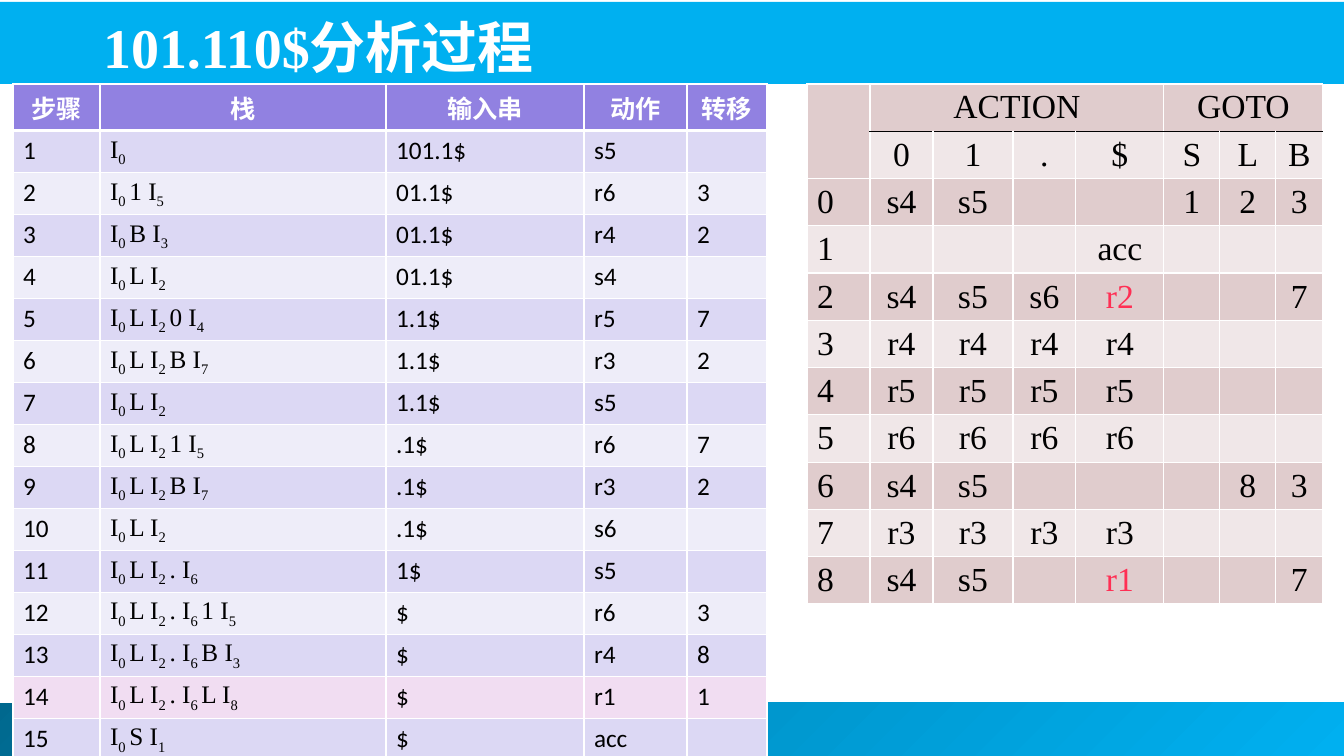
from copy import deepcopy
from dataclasses import dataclass

from pptx import Presentation
from pptx.dml.color import RGBColor
from pptx.enum.shapes import MSO_SHAPE
from pptx.enum.text import MSO_ANCHOR, PP_ALIGN
from pptx.oxml import parse_xml
from pptx.oxml.ns import nsdecls, qn
from pptx.util import Pt

SLIDE_WIDTH, SLIDE_HEIGHT = 1344, 756
EMU_PER_PX = 12192000 / SLIDE_WIDTH
LEFT, CENTER, RIGHT = PP_ALIGN.LEFT, PP_ALIGN.CENTER, PP_ALIGN.RIGHT


@dataclass(frozen=True)
class Theme:
    font: str = "Times New Roman"
    title_size: int = 40
    trace_size: int = 18
    parse_size: int = 24
    white: str = "FFFFFF"
    black: str = "000000"
    band: str = "00B0F0"
    footer: tuple = ((0, "00688E"), (0.5, "0094CA"), (1, "00B0F0"))
    trace_head: str = "9181E1"
    trace_rows: tuple = ("DCD8F4", "EEEDF9")
    trace_highlight: str = "F1DDF2"
    parse_rows: tuple = ("E0CCCD", "F0E7E8")
    accept: str = "FF0000"
    reduce: str = "FF2F54"


THEME = Theme()

TRACE_HEAD = ("步骤", "栈", "输入串", "动作", "转移")
TRACE_ALIGN = (LEFT, LEFT, RIGHT, CENTER, CENTER)
TRACE_WIDTHS = (87, 286, 198, 103, 80)
TRACE_STEPS = (
    ("I0", "101.1$", "s5", ""),
    ("I0 1 I5", "01.1$", "r6", "3"),
    ("I0 B I3", "01.1$", "r4", "2"),
    ("I0 L I2", "01.1$", "s4", ""),
    ("I0 L I2 0 I4", "1.1$", "r5", "7"),
    ("I0 L I2 B I7", "1.1$", "r3", "2"),
    ("I0 L I2", "1.1$", "s5", ""),
    ("I0 L I2 1 I5", ".1$", "r6", "7"),
    ("I0 L I2 B I7", ".1$", "r3", "2"),
    ("I0 L I2", ".1$", "s6", ""),
    ("I0 L I2 . I6", "1$", "s5", ""),
    ("I0 L I2 . I6 1 I5", "$", "r6", "3"),
    ("I0 L I2 . I6 B I3", "$", "r4", "8"),
    ("I0 L I2 . I6 L I8", "$", "r1", "1"),
    ("I0 S I1", "$", "acc", ""),
)
HIGHLIGHT_STEP = 14

PARSE_WIDTHS = (63, 63, 80, 63, 88, 56, 56, 47)
PARSE_ROWS = (
    ("", "ACTION", "", "", "", "GOTO", "", ""),
    ("", "0", "1", ".", "$", "S", "L", "B"),
    ("0", "s4", "s5", "", "", "1", "2", "3"),
    ("1", "", "", "", "acc", "", "", ""),
    ("2", "s4", "s5", "s6", "r2", "", "", "7"),
    ("3", "r4", "r4", "r4", "r4", "", "", ""),
    ("4", "r5", "r5", "r5", "r5", "", "", ""),
    ("5", "r6", "r6", "r6", "r6", "", "", ""),
    ("6", "s4", "s5", "", "", "", "8", "3"),
    ("7", "r3", "r3", "r3", "r3", "", "", ""),
    ("8", "s4", "s5", "", "r1", "", "", "7"),
)


def px(length):
    return round(length * EMU_PER_PX)


def rgb(color):
    return RGBColor.from_string(color)


def format_paragraph(paragraph, size, color, bold=False, align=LEFT):
    paragraph.alignment = align
    paragraph.font.name = THEME.font
    paragraph.font.size = Pt(size)
    paragraph.font.bold = bold
    paragraph.font.color.rgb = rgb(color)


def add_band(slide, left, top, width, height):
    shape = slide.shapes.add_shape(
        MSO_SHAPE.RECTANGLE, px(left), px(top), px(width), px(height))
    shape.shadow.inherit = False
    shape.line.fill.background()
    return shape


def add_footer(slide, left, top, width, height):
    fill = add_band(slide, left, top, width, height).fill
    fill.gradient()
    fill.gradient_angle = 315
    # A new gradient has two stops; this one needs a third
    stop_list = slide.shapes[-1].element.spPr.find(".//" + qn("a:gsLst"))
    stop_list.append(deepcopy(stop_list[-1]))
    for stop, (position, color) in zip(fill.gradient_stops, THEME.footer):
        stop.position = position
        stop.color.rgb = rgb(color)


def add_heading(slide, left, top, width, height):
    fill = add_band(slide, -2, 2, SLIDE_WIDTH + 2, 82).fill
    fill.solid()
    fill.fore_color.rgb = rgb(THEME.band)
    # Title sits in front of its band
    title = slide.shapes.title
    title.element.getparent().append(title.element)
    title.left, title.top = px(left), px(top)
    title.width, title.height = px(width), px(height)
    title.text_frame.text = "101.110$分析过程"
    title.text_frame.vertical_anchor = MSO_ANCHOR.BOTTOM
    format_paragraph(title.text_frame.paragraphs[0], THEME.title_size,
                     THEME.white, bold=True)


def add_grid(slide, left, top, widths, heights):
    frame = slide.shapes.add_table(
        len(heights), len(widths), px(left), px(top), px(sum(widths)), px(sum(heights)))
    table = frame.table
    table.horz_banding = False
    for column, width in zip(table.columns, widths):
        column.width = px(width)
    for row, height in zip(table.rows, heights):
        row.height = px(height)
    return table


def style_cell(cell, color, **borders):
    """Borders are given per side (L, R, T, B) as (color, points)."""
    properties = cell._tc.get_or_add_tcPr()
    for side in "LRTB":
        line_color, points = borders.get(side, (THEME.white, 1))
        properties.append(parse_xml(
            f'<a:ln{side} {nsdecls("a")} w="{Pt(points)}"><a:solidFill>'
            f'<a:srgbClr val="{line_color}"/></a:solidFill></a:ln{side}>'))
    cell.fill.solid()
    cell.fill.fore_color.rgb = rgb(color)


def write_stack(paragraph, stack):
    """Set the state number after each I as a subscript."""
    symbols = "I"
    for part in stack.split("I")[1:]:
        paragraph.add_run().text = symbols
        state = paragraph.add_run()
        state.text = part[:2]
        state._r.get_or_add_rPr().set("baseline", "-25000")
        symbols = part[2:] + "I"


def add_trace_table(slide, left, top):
    table = add_grid(slide, left, top, TRACE_WIDTHS, [46] + [42] * len(TRACE_STEPS))
    thick = (THEME.white, 3)
    # Header row
    for column, text in enumerate(TRACE_HEAD):
        cell = table.cell(0, column)
        style_cell(cell, THEME.trace_head, B=thick)
        cell.text = text
        format_paragraph(cell.text_frame.paragraphs[0], THEME.trace_size,
                         THEME.white, bold=True, align=CENTER)
    # Numbered steps
    for step, values in enumerate(TRACE_STEPS, 1):
        fill = THEME.trace_rows[(step - 1) % 2]
        if step == HIGHLIGHT_STEP:
            fill = THEME.trace_highlight
        borders = {"T": thick} if step == 1 else {}
        for column, text in enumerate((str(step), *values)):
            cell = table.cell(step, column)
            style_cell(cell, fill, **borders)
            paragraph = cell.text_frame.paragraphs[0]
            if column == 1:
                write_stack(paragraph, text)
            elif text:
                cell.text = text
            color = THEME.accept if text == "acc" else THEME.black
            format_paragraph(paragraph, THEME.trace_size, color, align=TRACE_ALIGN[column])


def add_parse_table(slide, left, top):
    table = add_grid(slide, left, top, PARSE_WIDTHS, [47] * len(PARSE_ROWS))
    rule = (THEME.black, 1)
    for row, values in enumerate(PARSE_ROWS):
        for column, text in enumerate(values):
            cell = table.cell(row, column)
            borders = {"BT"[row]: rule} if row < 2 and column else {}
            fill_row = row if column else max(row, 2)
            style_cell(cell, THEME.parse_rows[fill_row % 2], **borders)
            if text:
                cell.text = text
            color = THEME.reduce if text in ("r1", "r2") else THEME.black
            format_paragraph(cell.text_frame.paragraphs[0], THEME.parse_size, color,
                             align=CENTER if column else LEFT)
    # Corner, ACTION and GOTO spans
    for first, last in (((0, 0), (1, 0)), ((0, 1), (0, 4)), ((0, 5), (0, 7))):
        table.cell(*first).merge(table.cell(*last))


def main():
    presentation = Presentation()
    presentation.slide_width = px(SLIDE_WIDTH)
    presentation.slide_height = px(SLIDE_HEIGHT)
    slide = presentation.slides.add_slide(presentation.slide_layouts[5])
    add_footer(slide, -5, 703, SLIDE_WIDTH + 5, 53)
    add_heading(slide, 93, 5, 1207, 80)
    add_trace_table(slide, 13, 84)
    add_parse_table(slide, 807, 84)
    presentation.save("out.pptx")


if __name__ == "__main__":
    main()
